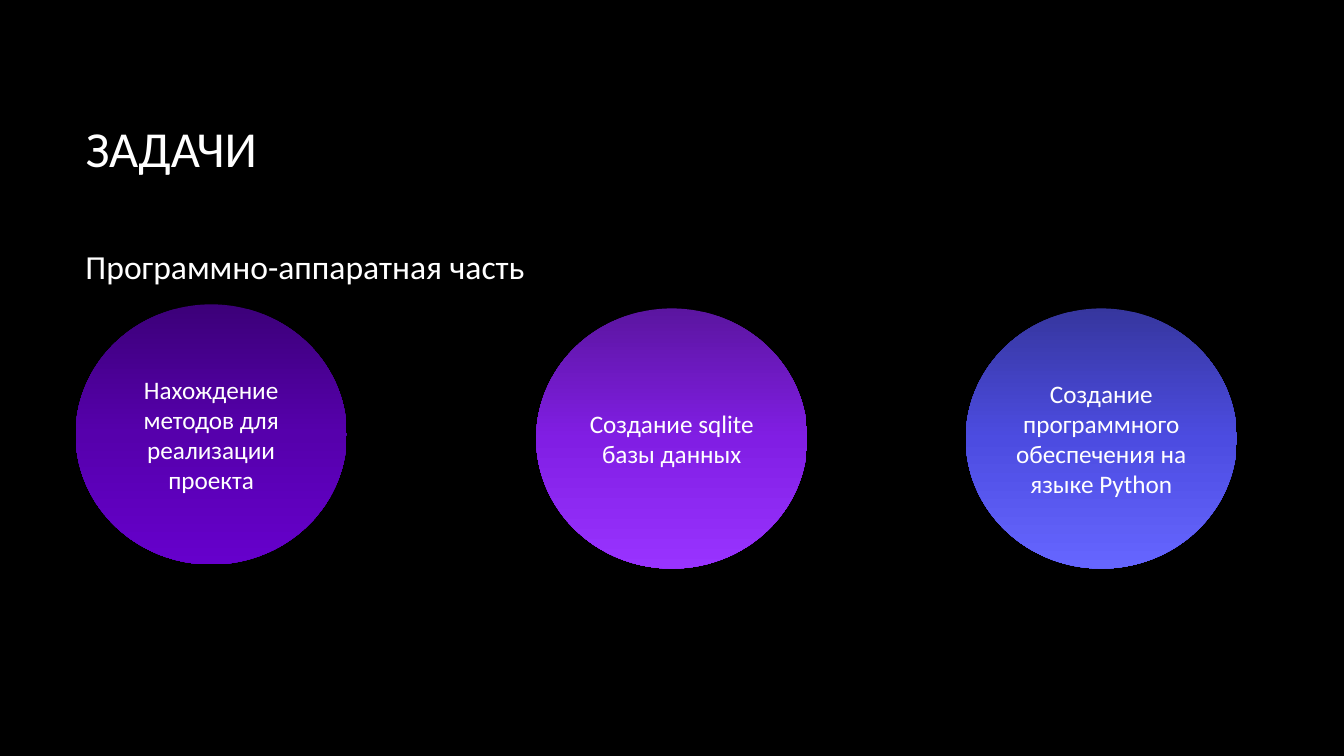
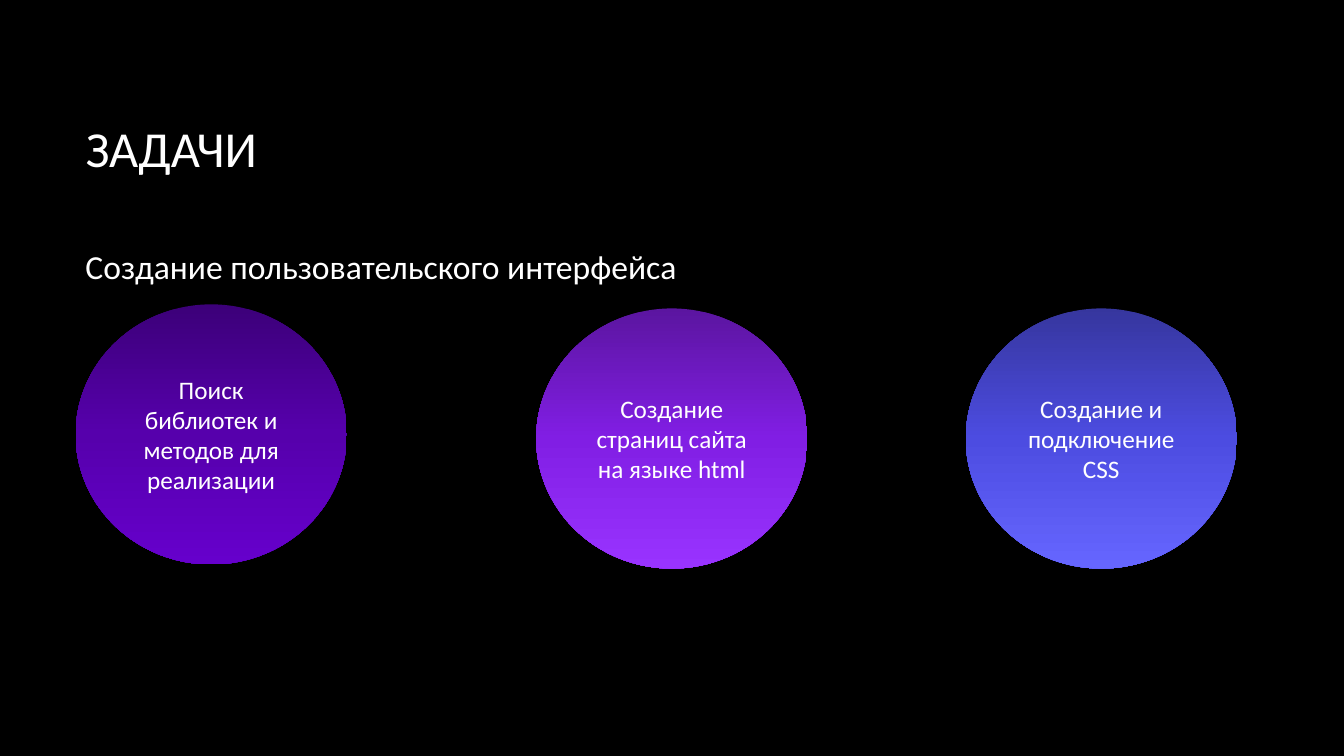
from copy import deepcopy

from pptx import Presentation
from pptx.dml.color import RGBColor
from pptx.enum.shapes import MSO_SHAPE
from pptx.enum.text import MSO_ANCHOR, MSO_AUTO_SIZE, PP_ALIGN
from pptx.oxml.ns import qn
from pptx.util import Pt

BLACK = RGBColor(0x00, 0x00, 0x00)
WHITE = RGBColor(0xFF, 0xFF, 0xFF)
INDIGO = [RGBColor(0x3C, 0x00, 0x79), RGBColor(0x56, 0x00, 0xAC), RGBColor(0x66, 0x00, 0xCC)]
VIOLET = [RGBColor(0x5B, 0x15, 0xA0), RGBColor(0x81, 0x1E, 0xE4), RGBColor(0x99, 0x33, 0xFF)]
BLUE = [RGBColor(0x36, 0x36, 0x9E), RGBColor(0x4C, 0x4C, 0xE1), RGBColor(0x66, 0x66, 0xFF)]

FONT = "Calibri"
MARGIN = 54
CIRCLE_WIDTH, CIRCLE_HEIGHT = 193.7, 185.8
CIRCLES = [(MARGIN, 217.4, INDIGO), (383, 220.3, VIOLET), (689.8, 220.3, BLUE)]

SLIDES = [
    ("Программно-аппаратная часть", 355, [
        "Нахождение методов для реализации проекта",
        "Создание sqlite базы данных",
        "Создание программного обеспечения на языке Python",
    ]),
    ("Создание пользовательского интерфейса", 487.4, [
        "Поиск библиотек и методов для реализации",
        "Создание страниц сайта на языке html",
        "Создание и подключение CSS",
    ]),
]


def write_text(shape, text, size, alignment, anchor):
    text_frame = shape.text_frame
    text_frame.text = text
    text_frame.word_wrap = True
    text_frame.vertical_anchor = anchor
    paragraph = text_frame.paragraphs[0]
    paragraph.alignment = alignment
    font = paragraph.runs[0].font
    font.name = FONT
    font.size = Pt(size)
    font.color.rgb = WHITE


def fill_gradient(shape, colors):
    """Fill from top to bottom with three evenly spaced colours."""
    shape.fill.gradient()
    shape.fill.gradient_angle = 270
    stop_list = shape.element.spPr.find(qn("a:gradFill")).find(qn("a:gsLst"))
    stop_list.insert(1, deepcopy(stop_list[0]))
    for stop, color, position in zip(shape.fill.gradient_stops, colors, (0, 0.5, 1)):
        stop.color.rgb = color
        stop.position = position


presentation = Presentation()
presentation.slide_width = Pt(960)
presentation.slide_height = Pt(540)

background = presentation.slide_master.background.fill
background.solid()
background.fore_color.rgb = BLACK

layout = presentation.slide_layouts.get_by_name("Title Only")
layout_title = layout.placeholders[0]
layout_title.left, layout_title.top = Pt(MARGIN), Pt(48.2)
layout_title.width, layout_title.height = Pt(797.8), Pt(114.5)

for subtitle, subtitle_width, tasks in SLIDES:
    slide = presentation.slides.add_slide(layout)
    title = slide.shapes.title
    write_text(title, "ЗАДАЧИ", 36, PP_ALIGN.LEFT, MSO_ANCHOR.MIDDLE)

    for task, (left, top, colors) in zip(tasks, CIRCLES):
        circle = slide.shapes.add_shape(
            MSO_SHAPE.OVAL, Pt(left), Pt(top), Pt(CIRCLE_WIDTH), Pt(CIRCLE_HEIGHT))
        circle.shadow.inherit = False
        circle.line.fill.background()
        fill_gradient(circle, colors)
        write_text(circle, task, 18, PP_ALIGN.CENTER, MSO_ANCHOR.MIDDLE)

    subtitle_box = slide.shapes.add_textbox(Pt(MARGIN), Pt(172.1), Pt(subtitle_width), Pt(36))
    write_text(subtitle_box, subtitle, 24, PP_ALIGN.LEFT, MSO_ANCHOR.TOP)
    subtitle_box.text_frame.auto_size = MSO_AUTO_SIZE.SHAPE_TO_FIT_TEXT

presentation.save("out.pptx")
